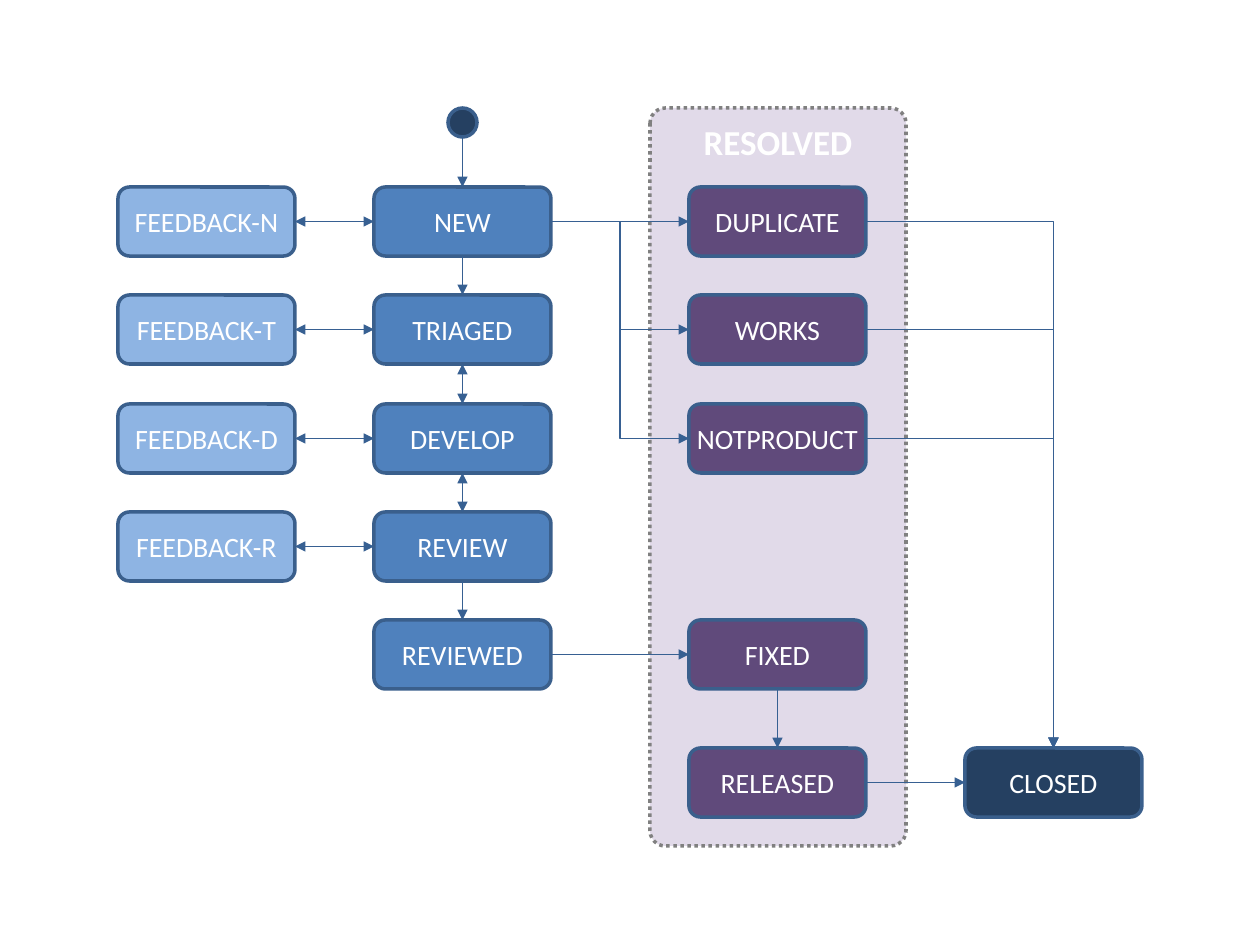
from lxml import etree
from pptx import Presentation
from pptx.dml.color import RGBColor
from pptx.enum.dml import MSO_LINE
from pptx.enum.shapes import MSO_CONNECTOR, MSO_SHAPE
from pptx.enum.text import MSO_ANCHOR, PP_ALIGN
from pptx.oxml.ns import qn
from pptx.util import Pt

ROUND, OVAL = MSO_SHAPE.ROUNDED_RECTANGLE, MSO_SHAPE.OVAL
LINE, BENT = MSO_CONNECTOR.STRAIGHT, MSO_CONNECTOR.ELBOW
DOTS = MSO_LINE.ROUND_DOT
MID, TOP = MSO_ANCHOR.MIDDLE, MSO_ANCHOR.TOP
CENTER = PP_ALIGN.CENTER
N, W, S, E = range(4)

WIDE, HIGH = 177, 69
ROWS = [187, 295, 404, 512, 620, 748]
COLS = [
    (118, "8EB4E3", ["FEEDBACK-N", "FEEDBACK-T", "FEEDBACK-D", "FEEDBACK-R"]),
    (374, "4F81BD", ["NEW", "TRIAGED", "DEVELOP", "REVIEW", "REVIEWED"]),
    (689, "604A7B", ["DUPLICATE", "WORKS", "NOTPRODUCT", None, "FIXED", "RELEASED"]),
    (965, "254061", [None] * 5 + ["CLOSED"]),
]
PANEL = (650, 108, 256, 738)
START = (448, 108, 29, 29)
EDGE, WIRE = "3A5F8C", "376092"

BOTH = [
    ("NEW", W, "FEEDBACK-N", E),
    ("TRIAGED", W, "FEEDBACK-T", E),
    ("DEVELOP", W, "FEEDBACK-D", E),
    ("REVIEW", W, "FEEDBACK-R", E),
    ("TRIAGED", S, "DEVELOP", N),
    ("DEVELOP", S, "REVIEW", N),
]
ONE = [
    ("NEW", S, "TRIAGED", N),
    ("REVIEW", S, "REVIEWED", N),
    ("REVIEWED", E, "FIXED", W),
    ("FIXED", S, "RELEASED", N),
    ("RELEASED", E, "CLOSED", W),
]
SPLIT = ["DUPLICATE", "WORKS", "NOTPRODUCT"]


def px(n):
    return int(n * 914400 / 126)


def color(code):
    return RGBColor.from_string(code)


def shape(kind, rect, fill, edge=EDGE):
    item = slide.shapes.add_shape(kind, *map(px, rect))
    item.shadow.inherit = False
    item.fill.solid()
    item.fill.fore_color.rgb = color(fill)
    item.line.color.rgb = color(edge)
    item.line.width = Pt(2)
    return item


def label(item, text, size, anchor=MID, bold=False):
    frame = item.text_frame
    frame.word_wrap = True
    frame.vertical_anchor = anchor
    frame.margin_left = frame.margin_right = 0
    para = frame.paragraphs[0]
    para.alignment = CENTER
    run = para.add_run()
    run.text = text
    run.font.name = "Calibri"
    run.font.size = Pt(size)
    run.font.bold = bold
    run.font.color.rgb = color("FFFFFF")


def wire(end, side, begin=None, exit=None, kind=LINE, ends=("tailEnd",), at=(0, 0)):
    item = slide.shapes.add_connector(kind, *map(px, at * 2))
    if begin:
        item.begin_connect(nodes[begin], exit)
    item.end_connect(nodes[end], side)
    item.line.color.rgb = color(WIRE)
    item.line.width = Pt(1)
    for tag in ends:
        etree.SubElement(item.line._get_or_add_ln(), qn("a:" + tag), type="triangle")
    etree.SubElement(item._element.spPr, qn("a:effectLst"))
    return item


deck = Presentation()
deck.slide_width, deck.slide_height = px(1260), px(945)
slide = deck.slides.add_slide(deck.slide_layouts[6])

panel = shape(ROUND, PANEL, "B3A2C7", "808080")
panel.adjustments[0] = 0.06
panel.line.dash_style = DOTS
tint = panel._element.spPr.find(qn("a:solidFill"))[0]
etree.SubElement(tint, qn("a:alpha"), val="39000")
panel.text_frame.margin_top = px(8)
label(panel, "RESOLVED", 20, TOP, True)

nodes = {}
for left, fill, names in COLS:
    for top, name in zip(ROWS, names):
        if name:
            nodes[name] = shape(ROUND, (left, top, WIDE, HIGH), fill)
            label(nodes[name], name, 16)

shape(OVAL, START, "254061")
left, top, wide, high = START
wire("NEW", N, at=(left + wide / 2, top + high))

for begin, exit, end, side in BOTH:
    wire(end, side, begin, exit, ends=("headEnd", "tailEnd"))
for begin, exit, end, side in ONE:
    wire(end, side, begin, exit)
for name in SPLIT:
    wire(name, W, "NEW", E, BENT)
    turn = wire("CLOSED", N, name, E, BENT)
    turn._element.spPr.find(qn("a:prstGeom")).set("prst", "bentConnector2")

deck.save("out.pptx")
